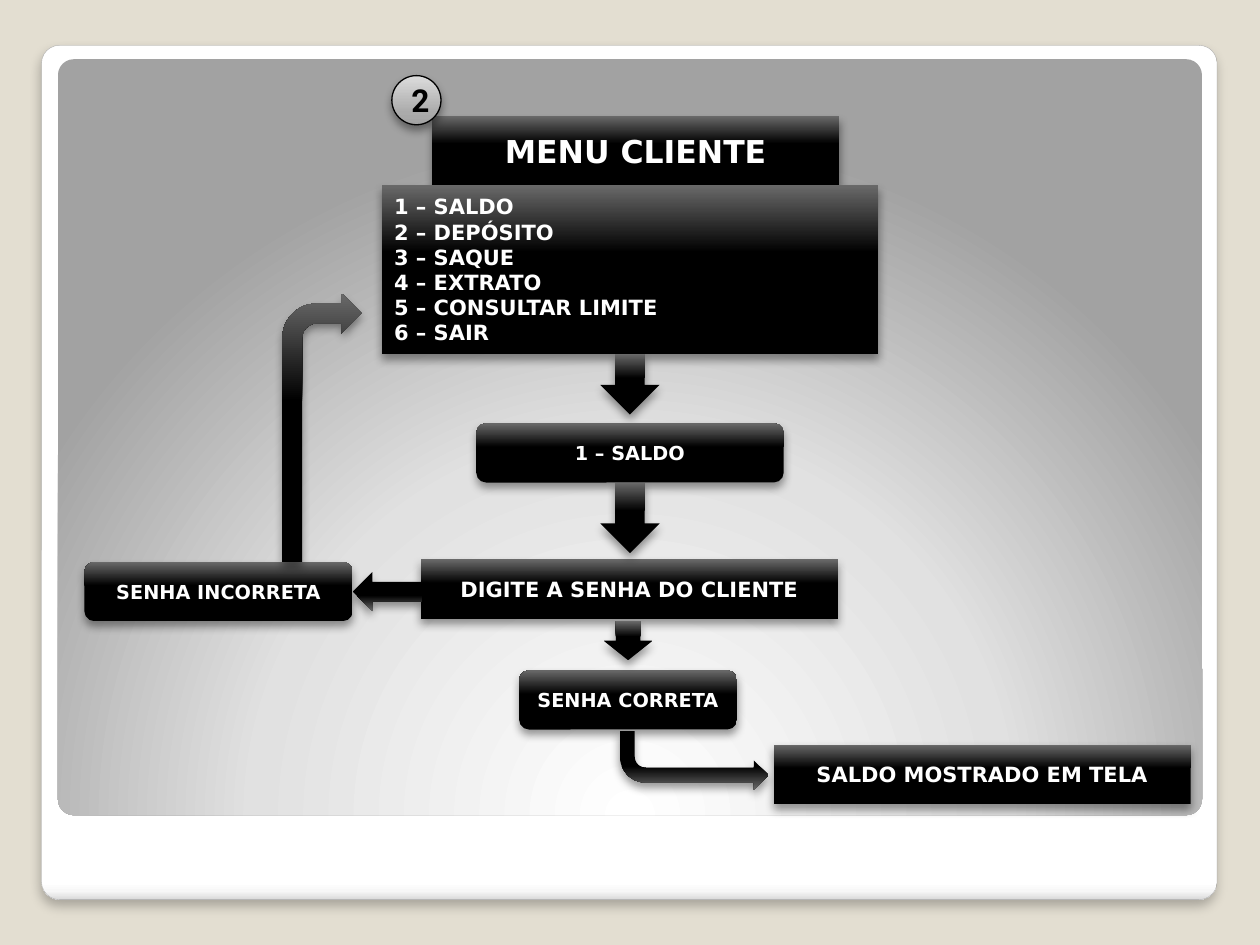
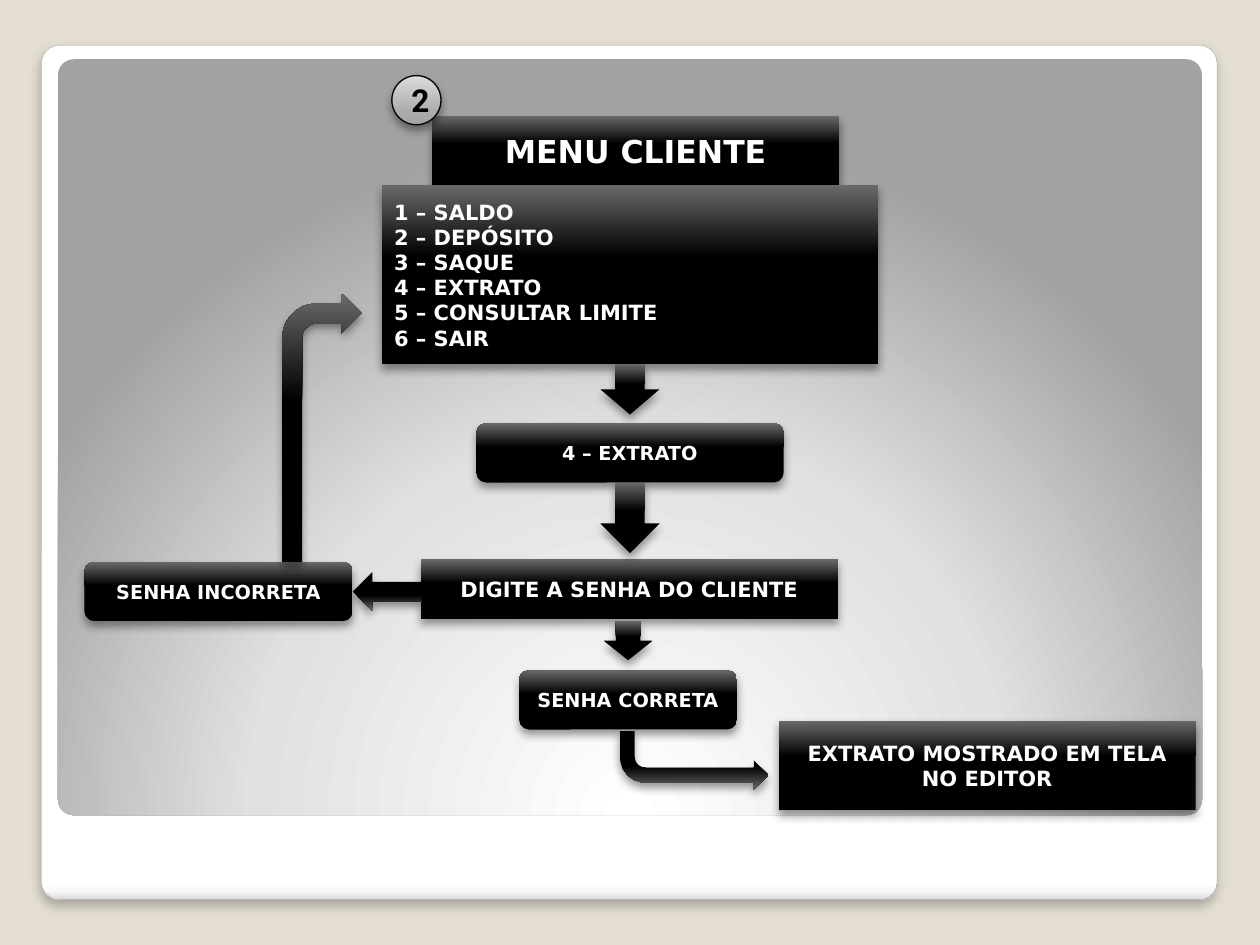
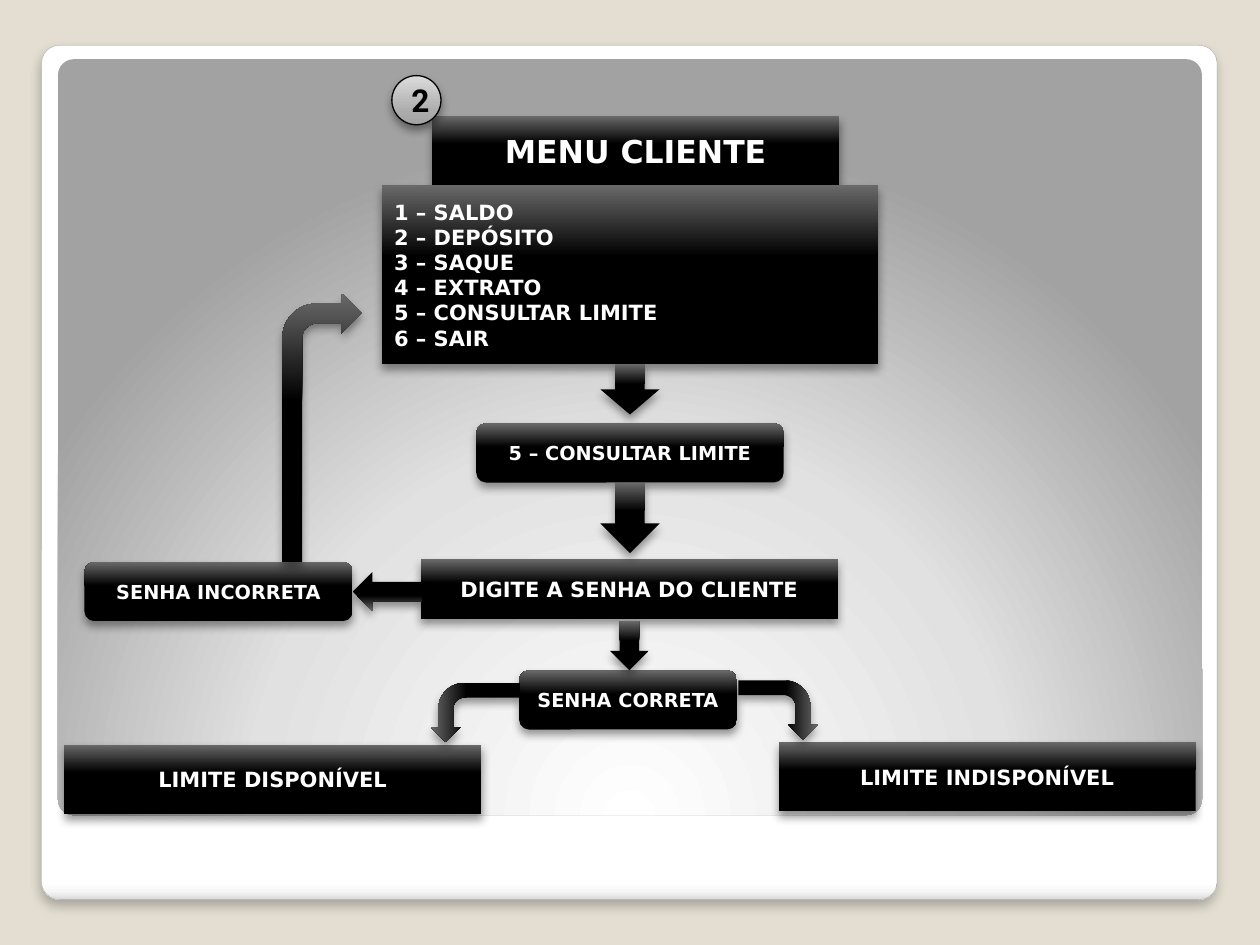
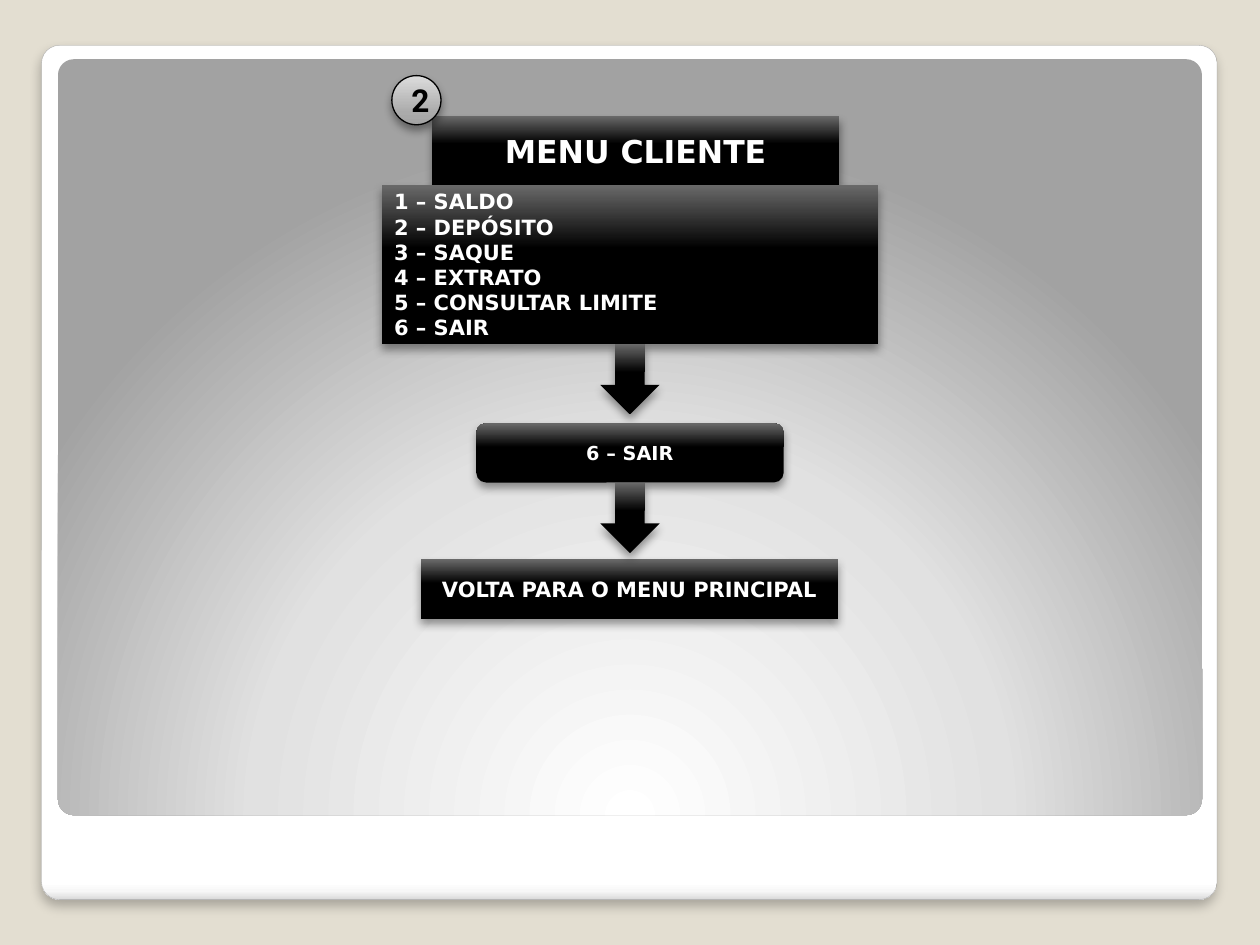
from pptx import Presentation
from pptx import util as u
from pptx.dml.color import RGBColor
from pptx.enum import shapes, text
from pptx.oxml import parse_xml
from pptx.oxml.ns import nsdecls, qn

KIND = shapes.MSO_SHAPE
COLORS = {
    "page": "E3DED1", "white": "FFFFFF", "black": "000000", "box_top": "696969",
    "frame_line": "A4A4A4", "frame_low": "F7F7F7", "frame_end": "DADADA",
    "panel_mid": "E1E1E1", "panel_end": "A2A2A2",
    "badge_low": "A2A2A2", "badge_mid": "ABABAB", "badge_top": "DCDCDC",
}
FONT, BADGE_FONT = "DejaVu Sans", "Roboto"

UPWARD, DOWNWARD = '<a:lin ang="16200000" scaled="0"/>', '<a:lin ang="5400000" scaled="0"/>'
FROM_BELOW = '<a:path path="circle"><a:fillToRect l="50000" t="175000" r="50000" b="-75000"/></a:path>'
GRADIENTS = {
    "box": ([(0, "black"), (60, "black"), (100, "box_top")], UPWARD),
    "badge": ([(0, "badge_low"), (25, "badge_mid"), (100, "badge_top")], UPWARD),
    "frame": ([(0, "white"), (98, "white"), (99, "frame_low"), (100, "frame_end")], DOWNWARD),
    "panel": ([(0, "white"), (55, "panel_mid"), (100, "panel_end")], FROM_BELOW),
}
# opacity in percent, blur and distance in points
BOX_SHADOW, FRAME_SHADOW = (40, 5.2, 3), (25, 6, 4)

TITLE = "MENU CLIENTE"
MENU = ["SALDO", "DEPÓSITO", "SAQUE", "EXTRATO", "CONSULTAR LIMITE", "SAIR"]
MENU_LINES = [f"{number} – {name}" for number, name in enumerate(MENU, 1)]
ASK_PASSWORD = "DIGITE A SENHA DO CLIENTE"

CENTER = 5
MENU_TOP, MENU_ARROW_END = 1.47, 3.29
ARROW_WIDTH = 0.47
CORRECT_BOX = (4.12, 5.32, 1.73, 0.47)
SHORT_ARROW = (KIND.DOWN_ARROW, (4.79, 4.93, 0.39, 0.31), {})
BEND_TO_RESULT = (KIND.BENT_ARROW, (4.92, 5.8, 1.18, 0.47), {"flip": True})

SLIDES = [
    {"option": 1, "menu_height": 1.34, "step": ASK_PASSWORD,
     "results": [("SALDO MOSTRADO EM TELA", (6.14, 5.91, 3.31, 0.47))],
     "arrows": [SHORT_ARROW, BEND_TO_RESULT]},
    {"option": 4, "menu_height": 1.42, "step": ASK_PASSWORD,
     "results": [("EXTRATO MOSTRADO EM TELA NO EDITOR", (6.18, 5.72, 3.31, 0.71))],
     "arrows": [SHORT_ARROW, BEND_TO_RESULT]},
    {"option": 5, "menu_height": 1.42, "step": ASK_PASSWORD,
     "results": [("LIMITE DISPONÍVEL", (0.51, 5.91, 3.31, 0.55)),
                 ("LIMITE INDISPONÍVEL", (6.18, 5.89, 3.31, 0.55))],
     "arrows": [(KIND.DOWN_ARROW, (4.84, 4.93, 0.31, 0.39), {}),
                (KIND.BENT_ARROW, (5.94, 5.32, 0.47, 0.63), {"rotation": 90}),
                (KIND.BENT_ARROW, (3.54, 5.3, 0.47, 0.71), {"rotation": 90, "flip": True})]},
    {"option": 6, "menu_height": 1.26, "step": "VOLTA PARA O MENU PRINCIPAL",
     "results": [], "arrows": []},
]


def paint(shape, gradient, shadow=None, line=None, line_width=0.75):
    stops, direction = GRADIENTS[gradient]
    shape.fill.gradient()
    old_fill = shape.element.spPr.find(qn("a:gradFill"))
    stop_xml = "".join(f'<a:gs pos="{position * 1000}"><a:srgbClr val="{COLORS[color]}"/></a:gs>'
                       for position, color in stops)
    old_fill.getparent().replace(old_fill, parse_xml(
        f'<a:gradFill {nsdecls("a")} rotWithShape="1"><a:gsLst>{stop_xml}</a:gsLst>'
        f'{direction}</a:gradFill>'))
    if line:
        shape.line.color.rgb = RGBColor.from_string(COLORS[line])
        shape.line.width = u.Pt(line_width)
    else:
        shape.line.fill.background()
    shape.shadow.inherit = False
    if shadow:
        opacity, blur, distance = shadow
        shape.element.spPr.find(qn("a:effectLst")).append(parse_xml(
            f'<a:outerShdw {nsdecls("a")} blurRad="{u.Pt(blur)}" dist="{u.Pt(distance)}" '
            f'dir="5400000" algn="ctr" rotWithShape="0"><a:srgbClr val="{COLORS["black"]}">'
            f'<a:alpha val="{opacity * 1000}"/></a:srgbClr></a:outerShdw>'))


def write(shape, lines, size=12, font=FONT, color="white", align=text.PP_ALIGN.CENTER):
    frame = shape.text_frame
    frame.word_wrap = True
    frame.auto_size = text.MSO_AUTO_SIZE.NONE
    frame.vertical_anchor = text.MSO_ANCHOR.MIDDLE
    frame.text = "\n".join(lines)
    for paragraph in frame.paragraphs:
        paragraph.alignment = align
        run_font = paragraph.runs[0].font
        run_font.name, run_font.size, run_font.bold = font, u.Pt(size), True
        run_font.color.rgb = RGBColor.from_string(COLORS[color])


def place(slide, kind, box, gradient="box", shadow=BOX_SHADOW, rotation=0, flip=False, **line):
    shape = slide.shapes.add_shape(kind, *map(u.Inches, box))
    paint(shape, gradient, shadow, **line)
    shape.rotation = rotation
    if flip:
        shape.element.spPr.xfrm.set("flipV", "1")
    return shape


def add_step(slide, label, box, kind=KIND.RECTANGLE, **style):
    write(place(slide, kind, box), [label], **style)


def add_choice(slide, label, box):
    add_step(slide, label, box, kind=KIND.ROUNDED_RECTANGLE, size=11)


def add_down_arrow(slide, top, bottom):
    place(slide, KIND.DOWN_ARROW, (CENTER - ARROW_WIDTH / 2, top, ARROW_WIDTH, bottom - top))


def prepare_layout(layout, slide):
    """Give the layout its background, frame and panel; they are made on a slide and moved."""
    layout.background.fill.solid()
    layout.background.fill.fore_color.rgb = RGBColor.from_string(COLORS["page"])
    for placeholder in list(layout.placeholders)[1:]:
        placeholder.element.getparent().remove(placeholder.element)
    frame = place(slide, KIND.ROUNDED_RECTANGLE, (0.33, 0.36, 9.33, 6.78), "frame",
                  FRAME_SHADOW, line="frame_line", line_width=0.16)
    panel = place(slide, KIND.ROUNDED_RECTANGLE, (0.46, 0.47, 9.08, 6), "panel", None)
    for index, shape in enumerate((frame, panel), 2):
        shape.adjustments[0] = 0.021
        layout.shapes.element.insert(index, shape.element)


def add_title(slide):
    title = slide.shapes.title
    title.left, title.top, title.width, title.height = map(u.Inches, (3.43, 0.92, 3.23, 0.55))
    title.element.spPr.append(parse_xml(
        f'<a:prstGeom {nsdecls("a")} prst="roundRect"><a:avLst/></a:prstGeom>'))
    paint(title, "box", BOX_SHADOW)
    write(title, [TITLE], size=18)


def add_password_check(slide):
    place(slide, KIND.RIGHT_ARROW, (2.8, 4.54, 0.55, 0.31), rotation=180)
    add_choice(slide, "SENHA INCORRETA", (0.67, 4.46, 2.13, 0.47))
    place(slide, KIND.BENT_ARROW, (2.24, 2.33, 0.63, 2.13))
    add_choice(slide, "SENHA CORRETA", CORRECT_BOX)


def fill_slide(slide, content):
    add_title(slide)
    menu_height = content["menu_height"]
    menu = place(slide, KIND.RECTANGLE, (3.03, MENU_TOP, 3.94, menu_height))
    write(menu, MENU_LINES, align=text.PP_ALIGN.LEFT)
    add_down_arrow(slide, MENU_TOP + menu_height, MENU_ARROW_END)
    add_choice(slide, MENU_LINES[content["option"] - 1], (3.78, 3.36, 2.44, 0.47))
    add_step(slide, content["step"], (3.34, 4.44, 3.31, 0.47))
    add_down_arrow(slide, 3.83, 4.39)
    badge = place(slide, KIND.OVAL, (3.11, 0.6, 0.39, 0.39), "badge", line="black")
    write(badge, ["2"], size=18, font=BADGE_FONT, color="black")
    for label, box in content["results"]:
        add_step(slide, label, box)
    if content["step"] == ASK_PASSWORD:
        add_password_check(slide)
    for kind, box, turn in content["arrows"]:
        place(slide, kind, box, **turn)


def main():
    presentation = Presentation()
    presentation.slide_width, presentation.slide_height = u.Inches(10), u.Inches(7.5)
    layout = presentation.slide_layouts.get_by_name("Title Only")
    slides = [presentation.slides.add_slide(layout) for _ in SLIDES]
    prepare_layout(layout, slides[0])
    for slide, content in zip(slides, SLIDES):
        fill_slide(slide, content)
    presentation.save("out.pptx")


if __name__ == "__main__":
    main()
